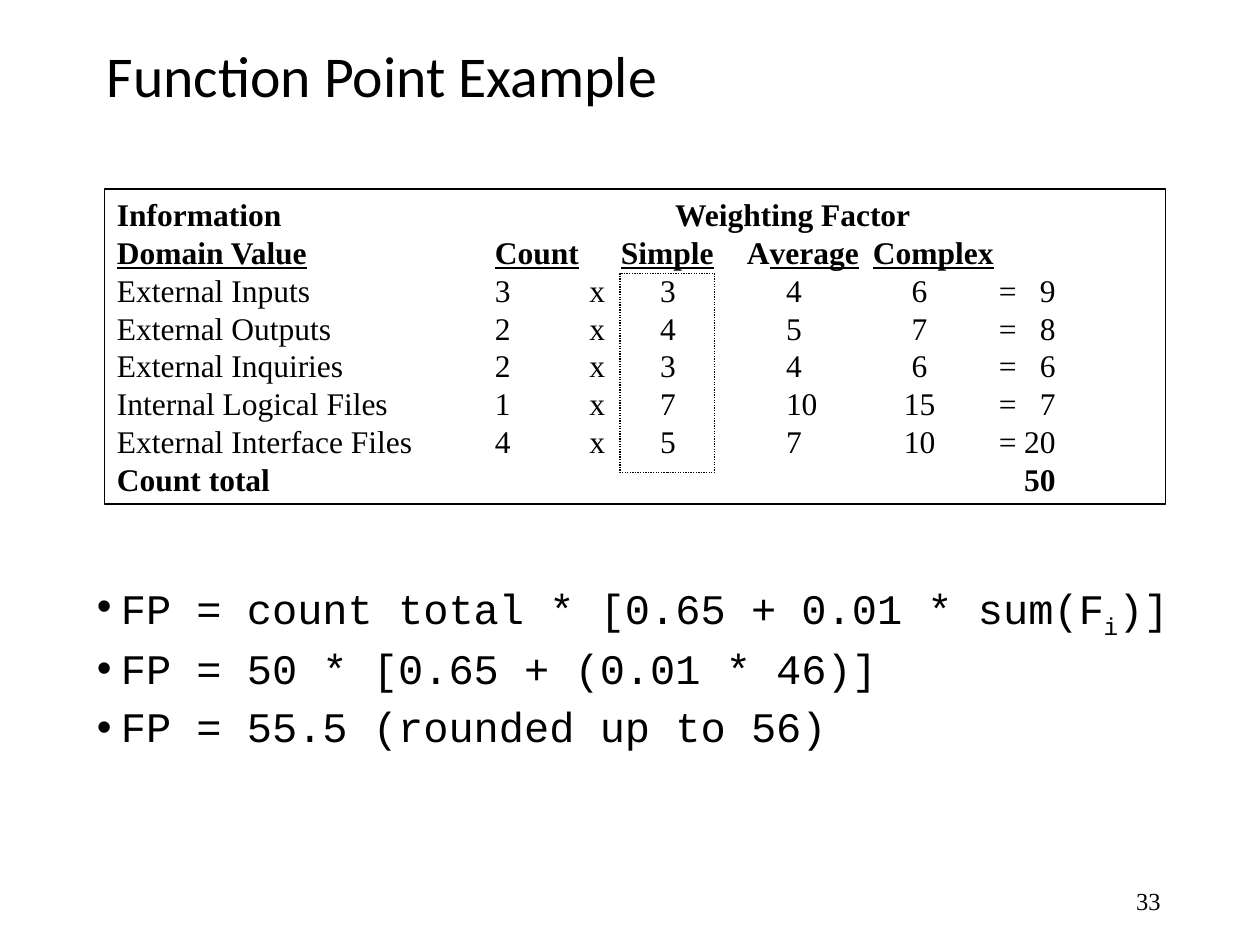
from dataclasses import dataclass

from lxml.etree import SubElement
from pptx import Presentation
from pptx.dml.color import RGBColor
from pptx.enum.dml import MSO_LINE
from pptx.enum.shapes import MSO_SHAPE
from pptx.enum.text import MSO_ANCHOR as Anchor, PP_ALIGN as Align
from pptx.oxml.ns import qn
from pptx.util import Inches, Pt

BLACK = RGBColor(0, 0, 0)
SERIF = "Times New Roman"


@dataclass
class Box:
    left: float
    top: float
    width: float
    height: float

    def lengths(self):
        return [Inches(n) for n in (self.left, self.top, self.width, self.height)]


@dataclass
class TabStop:
    position: float
    align: str = "l"


@dataclass
class Span:
    text: str
    bold: bool = False
    underline: bool = False
    baseline: int = 0


@dataclass
class Domain:
    name: str
    count: int
    simple: int
    average: int
    complex: int

    def line(self) -> str:
        cells = (self.name, self.count, "x", self.simple, self.average,
                 self.complex, "=", self.count * self.simple)
        return "\t".join(str(cell) for cell in cells)


DOMAINS = [
    Domain("External Inputs", 3, 3, 4, 6),
    Domain("External Outputs", 2, 4, 5, 7),
    Domain("External Inquiries", 2, 3, 4, 6),
    Domain("Internal Logical Files", 1, 7, 10, 15),
    Domain("External Interface Files", 4, 5, 7, 10),
]
RESULT_TAB = TabStop(7.45, "r")
FACTOR_TABS = [TabStop(4.43)]
HEADING_TABS = [TabStop(n) for n in (3, 4, 5, 6)]
DOMAIN_TABS = [TabStop(3), TabStop(3.75), TabStop(4.31), TabStop(5.31),
               TabStop(6.37, "ctr"), TabStop(7), RESULT_TAB]
HEADINGS = [
    Span("Domain Value", True, True), Span("\t", True),
    Span("Count", True, True), Span("\t", True),
    Span("Simple", True, True), Span("\tA", True),
    Span("verage", True, True), Span("\t", True),
    Span("Complex", True, True),
]
FORMULAS = [
    [Span("FP = count total * [0.65 + 0.01 * sum(F"),
     Span("i", baseline=-25000), Span(")]")],
    [Span("FP = 50 * [0.65 + (0.01 * 46)]")],
    [Span("FP = 55.5 (rounded up to 56)")],
]


def add_frame(slide, box: Box, anchor: Anchor = Anchor.TOP):
    frame = slide.shapes.add_textbox(*box.lengths()).text_frame
    frame.word_wrap = True
    frame.vertical_anchor = anchor
    return frame


def add_outline(slide, box: Box, dash: MSO_LINE = MSO_LINE.SOLID):
    outline = slide.shapes.add_shape(MSO_SHAPE.RECTANGLE, *box.lengths())
    outline.shadow.inherit = False
    outline.fill.background()
    outline.line.color.rgb = BLACK
    outline.line.width = Pt(0.75)
    outline.line.dash_style = dash
    return outline


def set_tabs(paragraph, stops: list[TabStop]) -> None:
    tab_list = SubElement(paragraph._p.get_or_add_pPr(), qn("a:tabLst"))
    for stop in stops:
        SubElement(tab_list, qn("a:tab"), pos=str(Inches(stop.position)), algn=stop.align)


def set_bullet(paragraph, indent: float) -> None:
    properties = paragraph._p.get_or_add_pPr()
    properties.set("marL", str(Inches(indent)))
    properties.set("indent", str(-Inches(indent)))
    SubElement(properties, qn("a:buFont"), typeface="Arial")
    SubElement(properties, qn("a:buChar"), char="•")


def write(paragraph, spans: list[Span], font_name: str, size: float) -> None:
    font = paragraph.font
    font.name, font.size = font_name, Pt(size)
    font.color.rgb = BLACK
    for span in spans:
        run = paragraph.add_run()
        run.text = span.text
        run.font.color.rgb = BLACK
        if span.bold:
            run.font.bold = True
        if span.underline:
            run.font.underline = True
        if span.baseline:
            run._r.get_or_add_rPr().set("baseline", str(span.baseline))


def next_paragraph(frame):
    """Return the first paragraph while it is unused, then new ones."""
    first = frame.paragraphs[0]
    return frame.add_paragraph() if first.runs else first


def add_title(slide) -> None:
    title = add_frame(slide, Box(0.75, 0, 8.5, 1.25), Anchor.MIDDLE).paragraphs[0]
    title.line_spacing = 0.9
    write(title, [Span("Function Point Example")], "Calibri", 33)


def add_formulas(slide) -> None:
    frame = add_frame(slide, Box(0.67, 4.58, 8.92, 1.83))
    for spans in FORMULAS:
        formula = next_paragraph(frame)
        formula.line_spacing = 0.9
        formula.space_before = Pt(7.5)
        set_bullet(formula, 0.19)
        write(formula, spans, "Courier New", 24)


def add_weighting(slide) -> None:
    total = sum(domain.count * domain.simple for domain in DOMAINS)
    lines = [
        (FACTOR_TABS, [Span("Information\tWeighting Factor", True)]),
        (HEADING_TABS, HEADINGS),
        *((DOMAIN_TABS, [Span(domain.line())]) for domain in DOMAINS),
        ([RESULT_TAB], [Span(f"Count total\t{total}", True)]),
    ]
    frame = add_outline(slide, Box(0.83, 1.5, 8.42, 2.5)).text_frame
    frame.word_wrap = True
    frame.vertical_anchor = Anchor.TOP
    for stops, spans in lines:
        line = next_paragraph(frame)
        line.alignment = Align.LEFT
        set_tabs(line, stops)
        write(line, spans, SERIF, 18)


def add_page_number(slide) -> None:
    number = add_frame(slide, Box(7.06, 6.95, 2.25, 0.4), Anchor.MIDDLE).paragraphs[0]
    number.alignment = Align.RIGHT
    write(number, [Span("33")], SERIF, 14)


def main() -> None:
    deck = Presentation()
    deck.slide_width, deck.slide_height = Inches(10), Inches(7.5)
    slide = deck.slides.add_slide(deck.slide_layouts[6])
    add_title(slide)
    add_formulas(slide)
    add_page_number(slide)
    add_outline(slide, Box(4.92, 2.17, 0.75, 1.58), MSO_LINE.ROUND_DOT)
    add_weighting(slide)
    deck.save("out.pptx")


if __name__ == "__main__":
    main()
